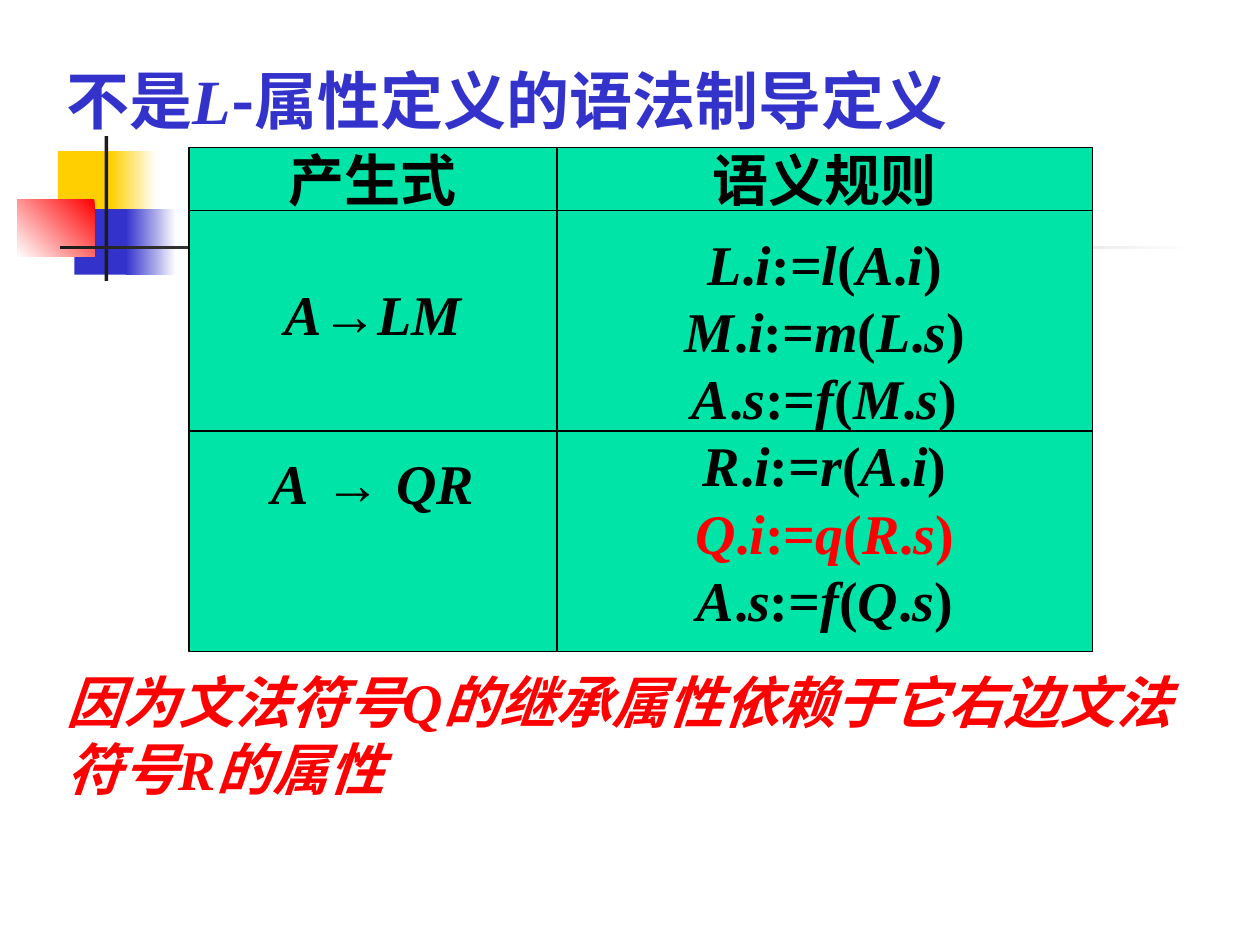
from itertools import groupby

from lxml.etree import SubElement
from pptx import Presentation
from pptx.dml.color import RGBColor
from pptx.enum.shapes import MSO_CONNECTOR as Connector, MSO_SHAPE as Shape
from pptx.enum.text import MSO_ANCHOR as Anchor, PP_ALIGN as Align
from pptx.oxml.ns import qn
from pptx.util import Inches, Pt

YELLOW, BLUE, RED = "FFCF01", "3333CC", "FF0000"
WHITE, DARK, BLACK, GREEN = "FFFFFF", "1C1C1C", "000000", "00E4A8"
SERIF, SANS, CJK = "Times New Roman", "Arial", "Noto Sans CJK SC"


def rgb(value):
    return RGBColor.from_string(value)


def is_symbol(char):
    return char.isascii() and char.isalpha()


class GrammarSlide:
    """Holds the slide and the style of its text, cells and decoration."""

    def __init__(self, slide):
        self.slide = slide
        self.size = 32
        self.rule_width = Pt(0.75)

    def block(self, left, top, width, height, color):
        block = self.slide.shapes.add_shape(
            Shape.RECTANGLE, Inches(left), Inches(top), Inches(width), Inches(height))
        block.shadow.inherit = False
        block.fill.solid()
        block.fill.fore_color.rgb = rgb(color)
        block.line.fill.background()
        return block

    def fade(self, left, top, width, height, start, end, angle):
        fade = self.block(left, top, width, height, start)
        fade.fill.gradient()
        fade.fill.gradient_angle = angle
        for stop, color in zip(fade.fill.gradient_stops, (start, end)):
            stop.color.rgb = rgb(color)

    def add_words(self, paragraph, text, color, size=None, other_font=SERIF, all_italic=False):
        paragraph.font.size = Pt(size or self.size)
        paragraph.font.bold = True
        paragraph.font.color.rgb = rgb(color)
        if all_italic:
            paragraph.font.name = SERIF
            paragraph.font.italic = True
            paragraph.add_run().text = text
            return
        for symbol, chars in groupby(text, is_symbol):
            run = paragraph.add_run()
            run.text = "".join(chars)
            run.font.italic = symbol
            run.font.name = SERIF if symbol else other_font

    def text(self, left, top, width, height, text, color, indent=0.1, **style):
        box = self.slide.shapes.add_textbox(
            Inches(left), Inches(top), Inches(width), Inches(height))
        box.text_frame.word_wrap = True
        box.text_frame.margin_left = Inches(indent)
        self.add_words(box.text_frame.paragraphs[0], text, color, **style)

    def cell(self, left, top, width, height, lines, gap=0, bottom=0.05, other_font=SERIF):
        cell = self.block(left, top, width, height, GREEN)
        cell.line.color.rgb = rgb(BLACK)
        cell.line.width = self.rule_width
        frame = cell.text_frame
        frame.word_wrap = False
        frame.vertical_anchor = Anchor.MIDDLE
        frame.margin_bottom = Inches(bottom)
        for index, (line, color) in enumerate(lines):
            paragraph = frame.paragraphs[0] if index == 0 else frame.add_paragraph()
            paragraph.alignment = Align.CENTER
            if index and gap:
                paragraph.space_before = Pt(gap)
            self.add_words(paragraph, line, color, other_font=other_font)
        return cell

    def divider(self, first, last):
        middle = first.top + first.height // 2
        divider = self.slide.shapes.add_connector(
            Connector.STRAIGHT, first.left, middle, last.left + last.width, middle)
        divider.begin_connect(first, 1)
        divider.end_connect(last, 3)
        divider.line.color.rgb = rgb(BLACK)
        divider.line.width = self.rule_width
        SubElement(divider._element.spPr, qn("a:effectLst"))


def main():
    deck = Presentation()
    deck.slide_width, deck.slide_height = Inches(10), Inches(7.5)
    page = GrammarSlide(deck.slides.add_slide(deck.slide_layouts[6]))

    page.block(0.46, 1.2, 0.48, 0.52, YELLOW)
    page.fade(0.88, 1.2, 0.36, 0.52, WHITE, YELLOW, 180)
    page.block(0.59, 1.66, 0.46, 0.52, BLUE)
    page.fade(1, 1.66, 0.4, 0.52, WHITE, BLUE, 180)
    page.fade(0.14, 1.58, 0.61, 0.46, RED, WHITE, 225)
    page.block(0.83, 1.08, 0.03, 1.15, DARK)
    page.fade(0.48, 1.95, 9, 0.03, WHITE, DARK, 180)

    page.text(0.2, 0.44, 9.45, 0.7, "不是L-属性定义的语法制导定义", BLUE,
              indent=0.33, size=36, other_font=CJK)

    production_column, rule_column = (1.5, 2.92), (4.42, 4.25)
    header_top, header_height, body_height = 1.17, 0.5, 3.5
    body_top = header_top + header_height
    for (left, width), heading in ((production_column, "产生式"), (rule_column, "语义规则")):
        page.cell(left, header_top, width, header_height, [(heading, BLACK)])

    left, width = production_column
    productions = page.cell(left, body_top, width, body_height,
                            [("A→LM", BLACK), ("A → QR", BLACK)],
                            gap=58, bottom=0.58, other_font=SANS)
    left, width = rule_column
    rules = page.cell(left, body_top, width, body_height, [
        ("L.i:=l(A.i)", BLACK),
        ("M.i:=m(L.s)", BLACK),
        ("A.s:=f(M.s)", BLACK),
        ("R.i:=r(A.i)", BLACK),
        ("Q.i:=q(R.s)", RED),
        ("A.s:=f(Q.s)", BLACK),
    ])

    page.text(0.43, 5.25, 9.07, 1.17, "因为文法符号Q的继承属性依赖于它右边文法符号R的属性",
              RED, all_italic=True)
    page.divider(productions, rules)
    deck.save("out.pptx")


if __name__ == "__main__":
    main()
